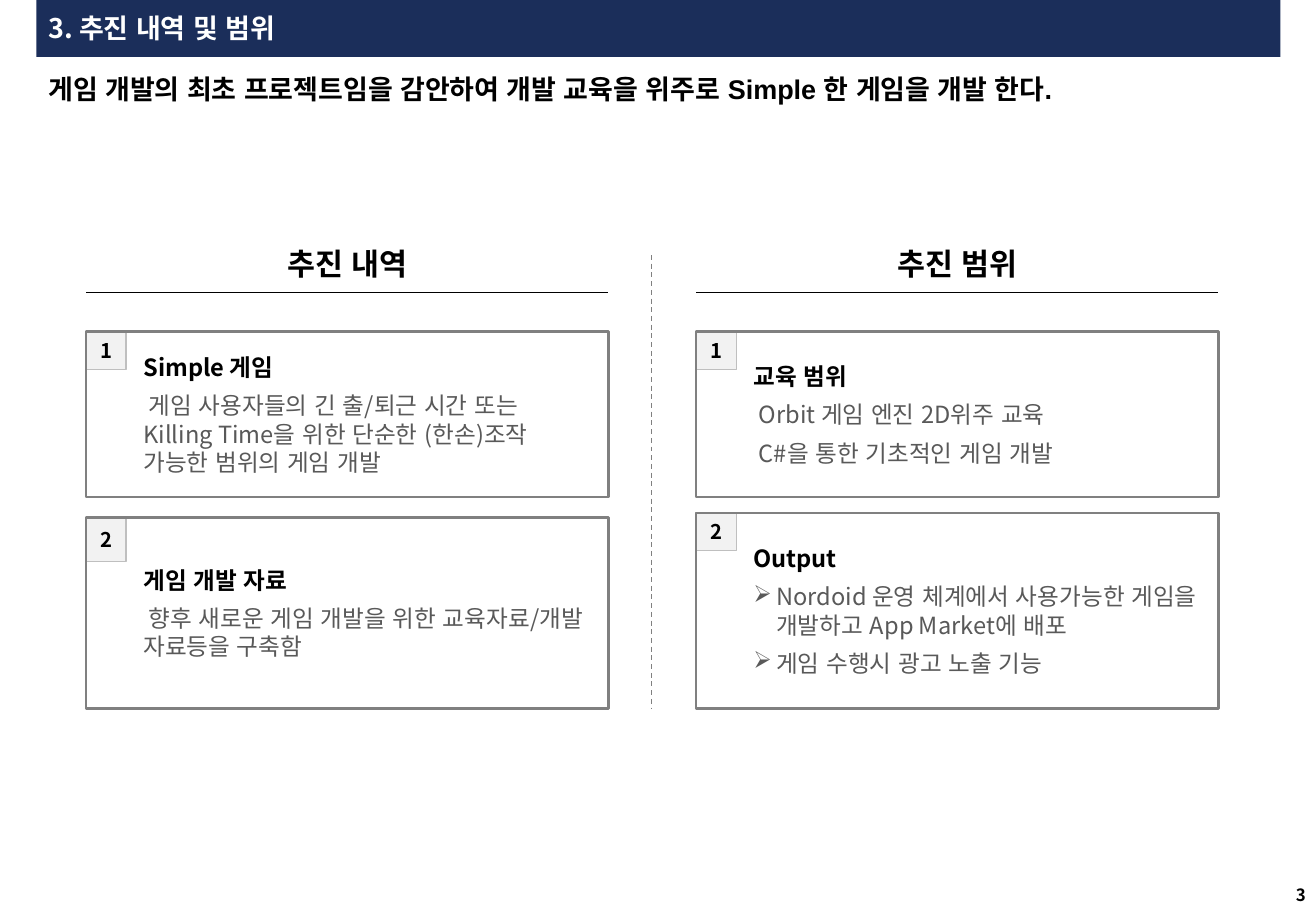
from collections import namedtuple

from lxml import etree
from pptx import Presentation
from pptx import util as u
from pptx.dml.color import RGBColor
from pptx.enum import dml, lang, shapes, text
from pptx.oxml.ns import qn

Box = namedtuple("Box", "left top width height")
Card = namedtuple("Card", "top height badge_height heading lines bulleted")

SANS = "Noto Sans CJK KR"
NAVY, BLACK, WHITE = "1B2E5A", "000000", "FFFFFF"
BORDER, BODY, BADGE_FILL, BADGE_LINE = "808080", "595959", "F2F2F2", "BFBFBF"

LEFT_CARDS = [
    Card(196.6, 98, 22.3, "Simple 게임",
         ["게임 사용자들의 긴 출/퇴근 시간 또는 Killing Time을 위한 "
          "단순한 (한손)조작 가능한 범위의 게임 개발"], False),
    Card(306.7, 113.3, 26, "게임 개발 자료",
         ["향후 새로운 게임 개발을 위한 교육자료/개발 자료등을 구축함"], False),
]
RIGHT_CARDS = [
    Card(196.6, 98, 22.3, "교육 범위",
         ["Orbit 게임 엔진 2D위주 교육", "C#을 통한 기초적인 게임 개발"], False),
    Card(304, 116, 22.3, "Output",
         ["Nordoid 운영 체계에서 사용가능한 게임을 개발하고 App Market에 배포",
          "게임 수행시 광고 노출 기능"], True),
]


def paint(color_format, value):
    """Set a colour from a hex string."""
    color_format.rgb = RGBColor.from_string(value)


def points(box):
    """Turn a box in points into slide lengths."""
    return [u.Pt(value) for value in box]


def style(para, size, color, bold=True, font=SANS, align=text.PP_ALIGN.LEFT):
    """Format a paragraph and all its runs."""
    para.alignment = align
    for span in para.runs:
        span.font.name = font
        span.font.size = u.Pt(size)
        span.font.bold = bold
        span.font.language_id = lang.MSO_LANGUAGE_ID.KOREAN
        paint(span.font.color, color)


def set_frame(frame, insets, anchor, wrap=True):
    """Set the insets, anchor and wrapping of a text frame."""
    (frame.margin_left, frame.margin_top,
     frame.margin_right, frame.margin_bottom) = points(insets)
    frame.vertical_anchor = anchor
    frame.word_wrap = wrap


def add_label(page, box, words, size, color, insets,
              anchor=text.MSO_ANCHOR.TOP, wrap=False, **look):
    """Add a one-paragraph text box."""
    frame = page.shapes.add_textbox(*points(box)).text_frame
    set_frame(frame, insets, anchor, wrap)
    frame.text = words
    style(frame.paragraphs[0], size, color, **look)
    return frame.paragraphs[0]


def add_rect(page, box, fill=None, line=None, weight=0.75):
    """Add a rectangle with an optional fill and outline."""
    rect = page.shapes.add_shape(shapes.MSO_SHAPE.RECTANGLE, *points(box))
    rect.shadow.inherit = False
    if fill:
        rect.fill.solid()
        paint(rect.fill.fore_color, fill)
    else:
        rect.fill.background()
    if line:
        paint(rect.line.color, line)
        rect.line.width = u.Pt(weight)
    else:
        rect.line.fill.background()
    return rect


def add_rule(page, start, end, color, dash=None):
    """Add a thin straight line."""
    rule = page.shapes.add_connector(
        shapes.MSO_CONNECTOR.STRAIGHT, *points(start + end))
    paint(rule.line.color, color)
    rule.line.width = u.Pt(0.75)
    if dash:
        rule.line.dash_style = dash
    etree.SubElement(rule._element.spPr, qn("a:effectLst"))


def indent(para, margin, first, bullet=None):
    """Indent a paragraph and give it an optional bullet."""
    props = para._p.get_or_add_pPr()
    props.set("marL", str(u.Pt(margin)))
    props.set("indent", str(u.Pt(first)))
    if bullet:
        etree.SubElement(props, qn("a:buChar")).set("char", bullet)


def draw_header(page, box):
    """Draw the title bar and the summary sentence below it."""
    insets = (7.2, 3.6, 7.2, 3.6)
    add_rect(page, box, NAVY)
    add_label(page, Box(box.left, box.top + 3.8, 166, 25), "3. 추진 내역 및 범위",
              16, WHITE, insets, text.MSO_ANCHOR.MIDDLE)
    summary = add_label(
        page, Box(box.left, box.top + 39.6, box.width, 25),
        "게임 개발의 최초 프로젝트임을 감안하여 개발 교육을 위주로 Simple 한 게임을 개발 한다.",
        16, BLACK, insets, wrap=True, font="Arial")
    summary.space_before = u.Pt(3.2)


def draw_card(page, box, number, card):
    """Draw a numbered card with its heading and lines."""
    badge = add_rect(page, Box(box.left, box.top, 23.8, card.badge_height),
                     BADGE_FILL, BADGE_LINE)
    set_frame(badge.text_frame, (0, 0, 0, 0), text.MSO_ANCHOR.MIDDLE)
    badge.text_frame.text = str(number)
    style(badge.text_frame.paragraphs[0], 12, BLACK, align=text.PP_ALIGN.CENTER)

    frame = add_rect(page, box, line=BORDER, weight=1.5).text_frame
    set_frame(frame, (34, 14.4, 8.6, 14.4), text.MSO_ANCHOR.MIDDLE)
    frame.text = "\n".join([card.heading, *card.lines])
    heading, *details = frame.paragraphs
    style(heading, 14, BLACK)
    heading.space_before = u.Pt(6)
    for para in details:
        style(para, 14, BODY, bold=False)
        para.space_before = u.Pt(6)
        if card.bulleted:
            indent(para, 13.5, -13.5, "➢")
        else:
            indent(para, 0, 3.2)


def draw_column(page, box, heading, cards):
    """Draw a headed column of cards."""
    add_label(page, Box(box.left + box.width / 2 - 42.5, box.top, 85, 27.4),
              heading, 18, BLACK, (2.9, 2.9, 2.9, 2.9),
              align=text.PP_ALIGN.CENTER)
    rule_top = box.top + 31
    add_rule(page, (box.left, rule_top), (box.left + box.width, rule_top), BLACK)
    for number, card in enumerate(cards, 1):
        draw_card(page, Box(box.left, card.top, box.width, card.height),
                  number, card)


def main():
    """Build and save the deck."""
    deck = Presentation()
    deck.slide_width, deck.slide_height = u.Pt(780), u.Pt(540)
    page = deck.slides.add_slide(deck.slide_layouts[6])
    draw_header(page, Box(21.6, 0, 737.3, 33.8))
    draw_column(page, Box(51, 142.6, 309.6, 277.4), "추진 내역", LEFT_CARDS)
    draw_column(page, Box(412.6, 142.6, 309.6, 277.4), "추진 범위", RIGHT_CARDS)
    add_rule(page, (386, 151.2), (386, 420.5), BORDER, dml.MSO_LINE.DASH)
    add_label(page, Box(761, 524.2, 13, 12.2), "3", 10, BLACK, (0, 0, 0, 0),
              align=text.PP_ALIGN.RIGHT)
    deck.save("out.pptx")


if __name__ == "__main__":
    main()
